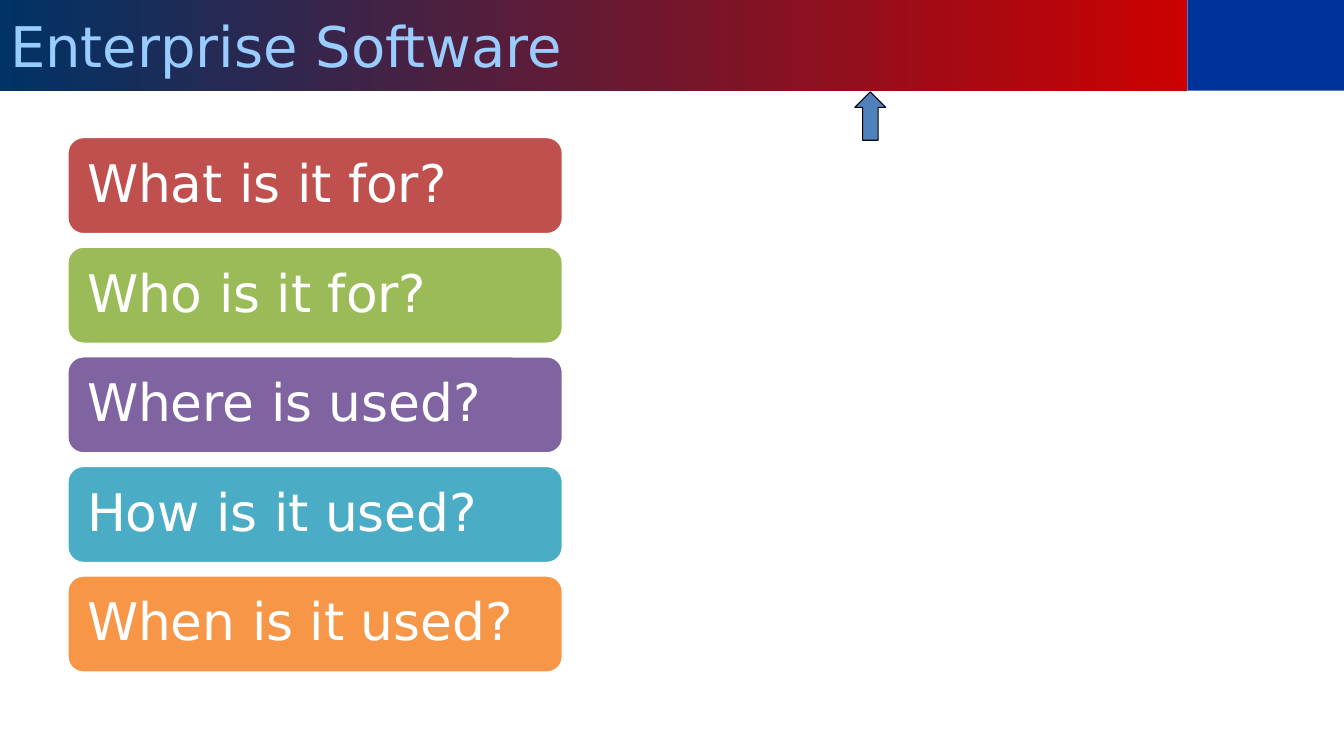
from pptx import Presentation
from pptx.dml.color import RGBColor
from pptx.enum.shapes import MSO_SHAPE
from pptx.enum.text import MSO_ANCHOR, MSO_AUTO_SIZE, PP_ALIGN
from pptx.util import Inches, Pt

NAVY = RGBColor(0x00, 0x33, 0x66)
RED = RGBColor(0xCC, 0x00, 0x00)
BLUE = RGBColor(0x00, 0x33, 0x99)
SKY = RGBColor(0x99, 0xCC, 0xFF)
WHITE = RGBColor(0xFF, 0xFF, 0xFF)
BLACK = RGBColor(0x00, 0x00, 0x00)
STEEL = RGBColor(0x4F, 0x81, 0xBD)
BRICK = RGBColor(0xC0, 0x50, 0x4D)
GREEN = RGBColor(0x9B, 0xBB, 0x59)
PURPLE = RGBColor(0x80, 0x64, 0xA2)
TEAL = RGBColor(0x4B, 0xAC, 0xC6)
ORANGE = RGBColor(0xF7, 0x96, 0x46)

WIDTH, HEIGHT = 13.33, 7.5
BANNER_SHARE, BANNER_HEIGHT_SHARE = 0.8835, 0.12
CARD_LEFT, CARD_TOP, CARD_PITCH = 0.05, 0.181, 0.145
CARD_WIDTH, CARD_HEIGHT = 0.369, 0.129
QUESTIONS = [
    ("What is it for?", BRICK),
    ("Who is it for?", GREEN),
    ("Where is used?", PURPLE),
    ("How is it used?", TEAL),
    ("When is it used?", ORANGE),
]


class QuestionSlide:
    """Holds the font and current page, and draws by shares of its size."""

    def __init__(self, page, font):
        self.page = page
        self.font = font

    def frame(self, left, top, width, height):
        return (Inches(left * WIDTH), Inches(top * HEIGHT),
                Inches(width * WIDTH), Inches(height * HEIGHT))

    def shape(self, preset, area, color, line=None, weight=0):
        box = self.page.shapes.add_shape(preset, *self.frame(*area))
        box.shadow.inherit = False
        box.fill.solid()
        box.fill.fore_color.rgb = color
        if line is None:
            box.line.fill.background()
        else:
            box.line.color.rgb = line
            box.line.width = Pt(weight)
        return box

    def label(self, box, text, size, color, inset, spacing=1.0):
        frame = box.text_frame
        frame.word_wrap = True
        frame.auto_size = MSO_AUTO_SIZE.NONE
        frame.vertical_anchor = MSO_ANCHOR.MIDDLE
        frame.margin_left = frame.margin_right = Inches(inset)
        frame.margin_top = frame.margin_bottom = Inches(inset)
        para = frame.paragraphs[0]
        para.alignment = PP_ALIGN.LEFT
        para.line_spacing = spacing
        span = para.add_run()
        span.text = text
        span.font.name = self.font
        span.font.size = Pt(size)
        span.font.color.rgb = color

    def title(self, text):
        box = self.page.shapes.title
        area = self.frame(0, 0, BANNER_SHARE, BANNER_HEIGHT_SHARE)
        box.left, box.top, box.width, box.height = area
        box.fill.gradient()
        box.fill.gradient_angle = 0
        for stop, color in zip(box.fill.gradient_stops, (NAVY, RED)):
            stop.color.rgb = color
        self.label(box, text, 40, SKY, 0.1)

    def corner(self):
        area = (BANNER_SHARE, 0, 1 - BANNER_SHARE, BANNER_HEIGHT_SHARE)
        self.shape(MSO_SHAPE.RECTANGLE, area, BLUE)

    def card(self, row, text, color):
        area = (CARD_LEFT, CARD_TOP + row * CARD_PITCH, CARD_WIDTH, CARD_HEIGHT)
        box = self.shape(MSO_SHAPE.ROUNDED_RECTANGLE, area, color, WHITE, 2)
        self.label(box, text, 37, WHITE, 0.15, 0.9)

    def marker(self):
        area = (0.636, 0.1215, 0.023, 0.064)
        box = self.shape(MSO_SHAPE.DOWN_ARROW, area, STEEL, BLACK, 0.75)
        box.rotation = 180


def main():
    deck = Presentation()
    deck.slide_width = Inches(WIDTH)
    deck.slide_height = Inches(HEIGHT)
    page = deck.slides.add_slide(deck.slide_layouts[5])
    slide = QuestionSlide(page, "DejaVu Sans")
    slide.corner()
    slide.title("Enterprise Software")
    for row, (text, color) in enumerate(QUESTIONS):
        slide.card(row, text, color)
    slide.marker()
    deck.save("out.pptx")


if __name__ == "__main__":
    main()
